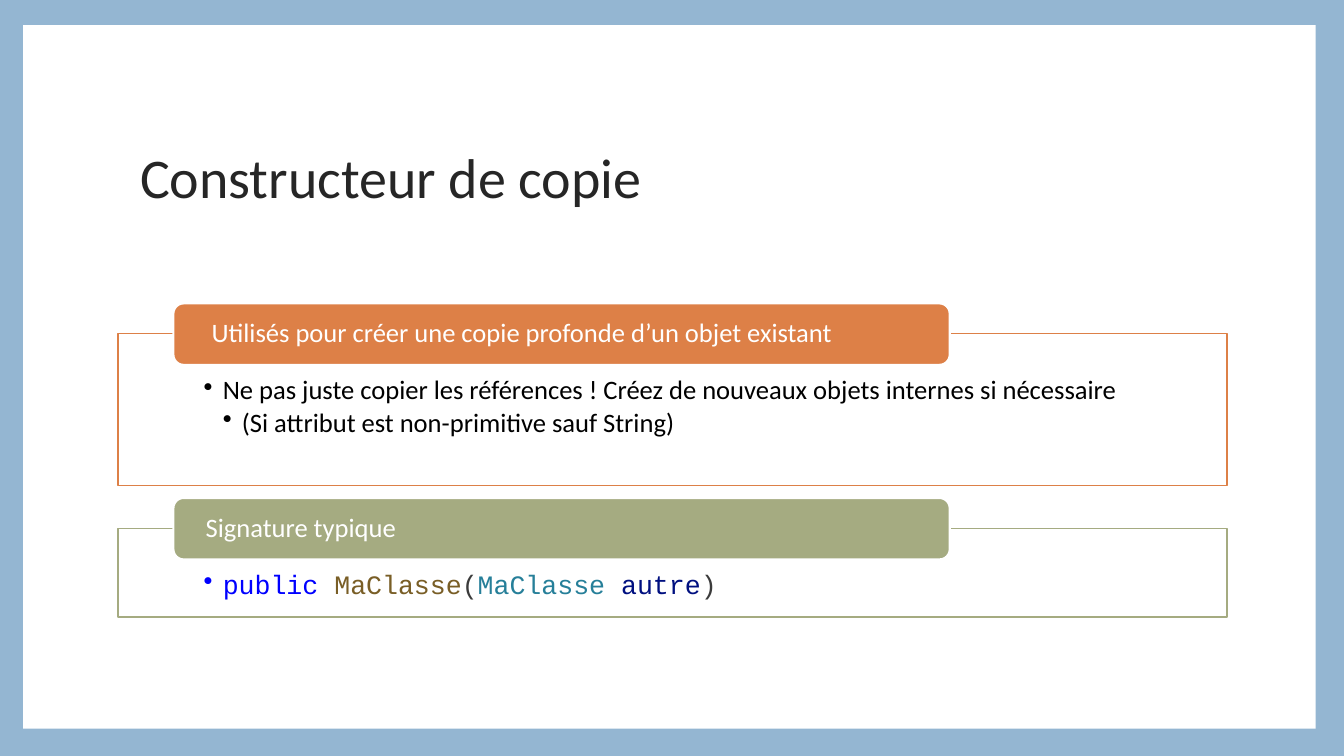
from dataclasses import dataclass

from lxml.etree import SubElement
from pptx import Presentation
from pptx.dml.color import RGBColor as RGB
from pptx.enum.shapes import MSO_SHAPE as Kind
from pptx.enum.text import MSO_ANCHOR as Anchor, PP_ALIGN as Align
from pptx.oxml.ns import qn
from pptx.util import Inches, Pt

BLUE = RGB(0x94, 0xB6, 0xD2)
WHITE = RGB(0xFF, 0xFF, 0xFF)
BLACK = RGB(0x00, 0x00, 0x00)
INK = RGB(0x26, 0x26, 0x26)
ORANGE = RGB(0xDD, 0x80, 0x47)
GREEN = RGB(0xA5, 0xAB, 0x81)
KEYWORD = RGB(0x00, 0x00, 0xFF)
METHOD = RGB(0x79, 0x5E, 0x26)
SIGN = RGB(0x3B, 0x3B, 0x3B)
CLASS = RGB(0x26, 0x7F, 0x99)
PARAM = RGB(0x00, 0x10, 0x80)

SANS, MONO = "Calibri", "Courier New"
WIDE, HIGH = 13.33, 7.5
STEP = 0.19  # bullet indent per level


@dataclass
class Span:
    text: str
    color: RGB = BLACK
    font: str = SANS
    size: float = 19


@dataclass
class Line:
    spans: list[Span]
    level: int = 0
    after: float = 0


@dataclass
class Panel:
    top: float
    height: float
    color: RGB
    label: str
    lines: list[Line]


PANELS = [
    Panel(3.31, 1.51, ORANGE,
          " Utilisés pour créer une copie profonde d’un objet existant",
          [Line([Span("Ne pas juste copier les références ! Créez de nouveaux "
                      "objets internes si nécessaire")], 1, 3),
           Line([Span("(Si attribut est non-primitive sauf String)")], 2, 3)]),
    Panel(5.24, 0.88, GREEN, "Signature typique",
          [Line([Span("public ", KEYWORD, MONO), Span("MaClasse", METHOD, MONO),
                 Span("(", SIGN, MONO), Span("MaClasse ", CLASS, MONO),
                 Span("autre", PARAM, MONO), Span(")", SIGN, MONO)], 1, 3)]),
]


def apply(target, values: dict) -> None:
    for name, value in values.items():
        setattr(target, name, value)


def draw(slide, kind, box: tuple, fill: RGB, edge: RGB | None = None,
         width: float = 1):
    shape = slide.shapes.add_shape(kind, *map(Inches, box))
    shape.shadow.inherit = False
    shape.fill.solid()
    shape.fill.fore_color.rgb = fill
    if edge is None:
        shape.line.fill.background()
    else:
        shape.line.color.rgb = edge
        shape.line.width = Pt(width)
    return shape


def write(shape, lines: list[Line], anchor, insets: tuple) -> None:
    frame = shape.text_frame
    left, top, right, bottom = map(Inches, insets)
    apply(frame, {"word_wrap": True, "vertical_anchor": anchor,
                  "margin_left": left, "margin_top": top,
                  "margin_right": right, "margin_bottom": bottom})
    for i, line in enumerate(lines):
        para = frame.add_paragraph() if i else frame.paragraphs[0]
        apply(para, {"alignment": Align.LEFT, "level": line.level,
                     "line_spacing": 0.9, "space_before": Pt(0),
                     "space_after": Pt(line.after)})
        if line.level:
            props = para._p.get_or_add_pPr()
            props.set("marL", str(Inches(STEP * line.level)))
            props.set("indent", str(-Inches(STEP)))
            SubElement(props, qn("a:buChar")).set("char", "•")
        for span in line.spans:
            run = para.add_run()
            run.text = span.text
            apply(run.font, {"name": span.font, "size": Pt(span.size)})
            run.font.color.rgb = span.color


def add_panel(slide, panel: Panel) -> None:
    body = draw(slide, Kind.RECTANGLE, (1.17, panel.top, 11, panel.height),
                WHITE, panel.color)
    write(body, panel.lines, Anchor.TOP, (0.85, 0.43, 0.85, 0.15))
    # The label straddles the top edge of the body
    tab = draw(slide, Kind.ROUNDED_RECTANGLE, (1.72, panel.top - 0.3, 7.7, 0.61),
               panel.color, WHITE, 1.5)
    write(tab, [Line([Span(panel.label, WHITE)])], Anchor.MIDDLE,
          (0.29, 0, 0.29, 0))


def main() -> None:
    deck = Presentation()
    apply(deck, {"slide_width": Inches(WIDE), "slide_height": Inches(HIGH)})
    slide = deck.slides.add_slide(deck.slide_layouts[6])

    # Frame
    draw(slide, Kind.RECTANGLE, (0, 0, WIDE, HIGH), BLUE)
    draw(slide, Kind.RECTANGLE, (0.23, 0.25, 12.82, 6.98), WHITE)

    # Title
    title = slide.shapes.add_textbox(*map(Inches, (1.29, 0.95, 10.71, 1.67)))
    write(title, [Line([Span("Constructeur de copie", INK, size=40)])],
          Anchor.MIDDLE, (0.1, 0.05, 0.1, 0.05))

    # Panels
    for panel in PANELS:
        add_panel(slide, panel)

    deck.save("out.pptx")


if __name__ == "__main__":
    main()
